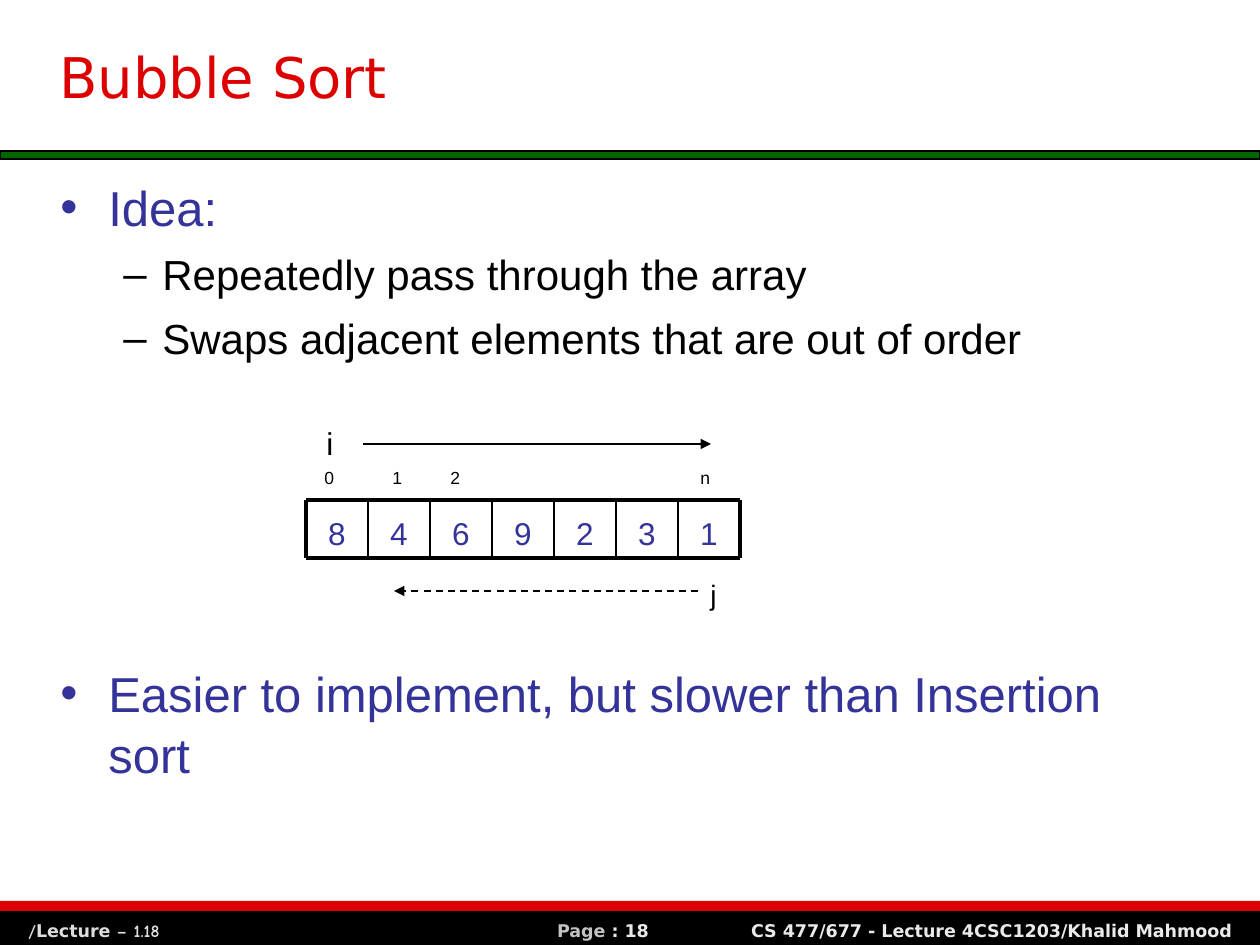
from dataclasses import dataclass

from lxml.etree import SubElement
from pptx import Presentation
from pptx.dml.color import RGBColor
from pptx.enum.dml import MSO_LINE
from pptx.enum.shapes import MSO_CONNECTOR, MSO_SHAPE
from pptx.enum.text import MSO_ANCHOR, PP_ALIGN
from pptx.oxml.ns import qn
from pptx.slide import Slide
from pptx.util import Emu, Pt

PX = 914400 // 126
BLACK, RED, GREEN, BLUE = "000000", "DC0000", "006600", "333399"
LIGHT, PALE, GREY = "DDDDDD", "EAEAEA", "C3C3C3"
SANS, TITLE_FONT, COMIC = "Arial", "DejaVu Sans", "Comic Neue"


@dataclass(frozen=True)
class Box:
    left: int
    top: int
    width: int
    height: int

    def emu(self) -> list[Emu]:
        return [px(n) for n in (self.left, self.top, self.width, self.height)]


@dataclass(frozen=True)
class Run:
    text: str
    font: str
    color: str


@dataclass(frozen=True)
class Bullet:
    text: str
    level: int = 0
    before: int = 7


@dataclass(frozen=True)
class BulletStyle:
    mark: str
    size: int
    color: str
    margin: int
    hang: int


FOOTERS = [
    (Box(16, 914, 310, 30), PP_ALIGN.LEFT,
     [Run("/", COMIC, LIGHT), Run("Lecture", TITLE_FONT, LIGHT), Run(" – 1.18", COMIC, LIGHT)]),
    (Box(604, 914, 640, 30), PP_ALIGN.RIGHT,
     [Run("CS 477/677 - Lecture 4CSC1203/Khalid Mahmood", TITLE_FONT, PALE)]),
    (Box(472, 914, 262, 30), PP_ALIGN.CENTER,
     [Run("Page", TITLE_FONT, GREY), Run(" : 18", TITLE_FONT, PALE)]),
]
BULLETS = [
    Bullet("Idea:"),
    Bullet("Repeatedly pass through the array", level=1, before=6),
    Bullet("Swaps adjacent elements that are out of order", level=1, before=6),
    Bullet("Easier to implement, but slower than Insertion sort", before=170),
]
LEVELS = [BulletStyle("•", 28, BLUE, 48, 48), BulletStyle("–", 24, BLACK, 102, 39)]
VALUES = [8, 4, 6, 9, 2, 3, 1]
ARRAY = Box(306, 500, 62 * len(VALUES), 58)
INDEX_LABELS = {"0": 312, "1": 380, "2": 438, "n": 688}


def px(length: int) -> Emu:
    return Emu(length * PX)


def rgb(color: str) -> RGBColor:
    return RGBColor.from_string(color)


def add_bar(slide: Slide, box: Box, fill: str, outline: str | None = None) -> None:
    shape = slide.shapes.add_shape(MSO_SHAPE.RECTANGLE, *box.emu())
    shape.shadow.inherit = False
    shape.fill.solid()
    shape.fill.fore_color.rgb = rgb(fill)
    if outline:
        shape.line.color.rgb = rgb(outline)
        shape.line.width = Pt(0.75)
    else:
        shape.line.fill.background()


def add_run(paragraph, text: str, *, size: int, font: str = SANS,
            color: str = BLACK, bold: bool = False) -> None:
    run = paragraph.add_run()
    run.text = text
    run.font.size, run.font.name, run.font.bold = Pt(size), font, bold
    run.font.color.rgb = rgb(color)


def add_frame(slide: Slide, box: Box, anchor=MSO_ANCHOR.TOP):
    frame = slide.shapes.add_textbox(*box.emu()).text_frame
    frame.word_wrap = True
    frame.vertical_anchor = anchor
    return frame


def add_text(slide: Slide, box: Box, text: str, *, align=PP_ALIGN.LEFT,
             anchor=MSO_ANCHOR.TOP, **style) -> None:
    paragraph = add_frame(slide, box, anchor).paragraphs[0]
    paragraph.alignment = align
    add_run(paragraph, text, **style)


def add_footer(slide: Slide, box: Box, align, runs: list[Run]) -> None:
    paragraph = add_frame(slide, box).paragraphs[0]
    paragraph.alignment = align
    for run in runs:
        add_run(paragraph, run.text, size=10, font=run.font, color=run.color, bold=True)


def add_bullets(slide: Slide, box: Box, bullets: list[Bullet]) -> None:
    frame = add_frame(slide, box)
    for number, bullet in enumerate(bullets):
        paragraph = frame.add_paragraph() if number else frame.paragraphs[0]
        style = LEVELS[bullet.level]
        paragraph.level = bullet.level
        paragraph.line_spacing = 1.05
        paragraph.space_before = Pt(bullet.before)
        properties = paragraph._p.get_or_add_pPr()
        properties.set("marL", str(px(style.margin)))
        properties.set("indent", str(px(-style.hang)))
        bullet_color = SubElement(properties, qn("a:buClr"))
        SubElement(bullet_color, qn("a:srgbClr"), val=style.color)
        SubElement(properties, qn("a:buFont"), typeface=SANS)
        SubElement(properties, qn("a:buChar"), char=style.mark)
        add_run(paragraph, bullet.text, size=style.size, color=style.color)


def add_line(slide: Slide, start: tuple[int, int], end: tuple[int, int], width: float,
             *, dashed: bool = False, arrow: bool = False) -> None:
    points = [px(n) for n in (*start, *end)]
    connector = slide.shapes.add_connector(MSO_CONNECTOR.STRAIGHT, *points)
    connector.line.color.rgb = rgb(BLACK)
    connector.line.width = Pt(width)
    if dashed:
        connector.line.dash_style = MSO_LINE.DASH
    if arrow:
        SubElement(connector.line._get_or_add_ln(), qn("a:tailEnd"), type="triangle")
    SubElement(connector._element.spPr, qn("a:effectLst"))


def add_array(slide: Slide, box: Box, values: list[int]) -> None:
    cell = box.width // len(values)
    right, bottom = box.left + box.width, box.top + box.height
    for number, value in enumerate(values):
        add_text(slide, Box(box.left + number * cell, box.top, cell, box.height), str(value),
                 size=18, color=BLUE, align=PP_ALIGN.CENTER, anchor=MSO_ANCHOR.BOTTOM)
    for y in (box.top, bottom):
        add_line(slide, (box.left, y), (right, y), 2.25)
    for x in range(box.left, right + 1, cell):
        add_line(slide, (x, box.top), (x, bottom), 2.25 if x in (box.left, right) else 1)


def main() -> None:
    """Build the bubble sort slide and save it."""
    presentation = Presentation()
    presentation.slide_width, presentation.slide_height = px(1260), px(945)
    slide = presentation.slides.add_slide(presentation.slide_layouts[6])

    add_bar(slide, Box(0, 908, 1260, 37), BLACK)
    add_bar(slide, Box(0, 901, 1260, 10), RED)
    for box, align, runs in FOOTERS:
        add_footer(slide, box, align, runs)
    add_bar(slide, Box(0, 151, 1260, 8), GREEN, BLACK)

    add_text(slide, Box(47, 14, 1134, 125), "Bubble Sort", size=32, font=TITLE_FONT,
             color=RED, anchor=MSO_ANCHOR.MIDDLE)
    add_bullets(slide, Box(48, 168, 1134, 699), BULLETS)

    for label, left in INDEX_LABELS.items():
        add_text(slide, Box(left, 461, 36, 34), label, size=10)
    add_text(slide, Box(314, 418, 36, 50), "i", size=18)
    add_line(slide, (363, 444), (711, 444), 0.75, arrow=True)
    add_array(slide, ARRAY, VALUES)
    add_text(slide, Box(698, 571, 36, 47), "j", size=16)
    add_line(slide, (698, 591), (394, 591), 1, dashed=True, arrow=True)

    presentation.save("out.pptx")


if __name__ == "__main__":
    main()
